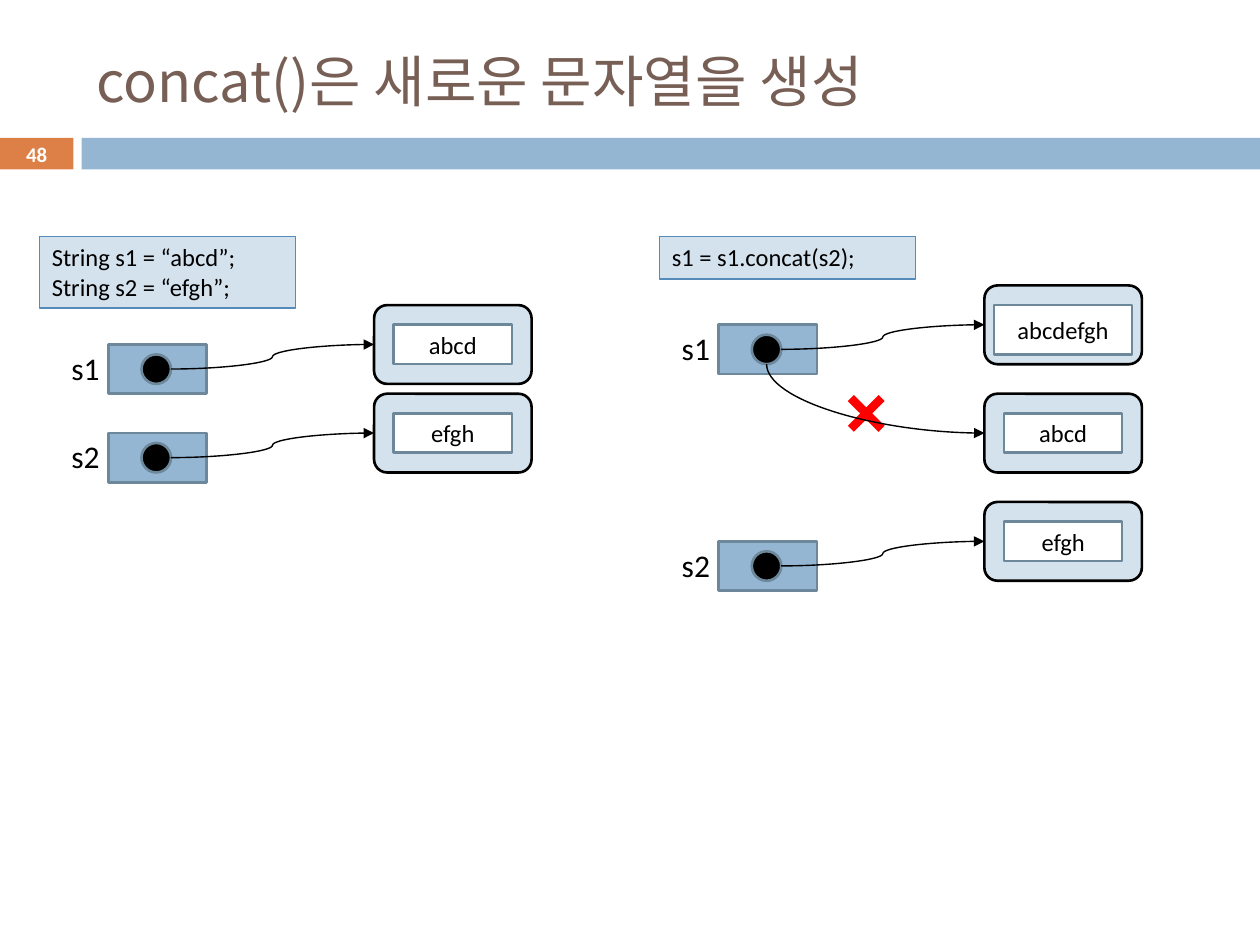
from lxml.etree import SubElement
from pptx import Presentation
from pptx.dml.color import RGBColor
from pptx.enum.shapes import MSO_CONNECTOR, MSO_SHAPE
from pptx.enum.text import MSO_ANCHOR, MSO_AUTO_SIZE, PP_ALIGN
from pptx.oxml.ns import qn
from pptx.util import Inches, Pt

COLS = 128  # square grid: 128 columns by 96 rows
BLACK = RGBColor(0, 0, 0)
WHITE = RGBColor(255, 255, 255)
RED = RGBColor(255, 0, 0)
ORANGE = RGBColor(0xDD, 0x80, 0x47)
BLUE = RGBColor(0x94, 0xB6, 0xD2)
PALE = RGBColor(0xD4, 0xE2, 0xED)
EDGE = RGBColor(0x6D, 0x87, 0x9B)
RIM = RGBColor(0x55, 0x8B, 0xB8)
BROWN = RGBColor(0x77, 0x5F, 0x55)


class Deck:
    font = "Calibri"
    title_font = "Noto Sans CJK KR"

    def __init__(self):
        self.prs = Presentation()
        self.prs.slide_width, self.prs.slide_height = Inches(10), Inches(7.5)
        self.unit = self.prs.slide_width / COLS
        self.slide = self.prs.slides.add_slide(self.prs.slide_layouts[5])

    def grid(self, *cells):
        return [round(cell * self.unit) for cell in cells]

    def put_text(self, shape, lines, size, color=BLACK, align=PP_ALIGN.LEFT,
                 anchor=MSO_ANCHOR.TOP, bold=False, font=None):
        frame = shape.text_frame
        frame.vertical_anchor = anchor
        for i, line in enumerate(lines):
            para = frame.add_paragraph() if i else frame.paragraphs[0]
            para.alignment = align
            run = para.add_run()
            run.text = line
            run.font.name = font or self.font
            run.font.size, run.font.bold = Pt(size), bold
            run.font.color.rgb = color
        return frame

    def title(self, text):
        shape = self.slide.shapes.title
        shape.left, shape.top, shape.width, shape.height = self.grid(8.53, 3.2, 114.2, 9.9)
        frame = self.put_text(shape, [text], 32, BROWN, anchor=MSO_ANCHOR.MIDDLE,
                              font=self.title_font)
        frame.auto_size = MSO_AUTO_SIZE.NONE
        props = frame.paragraphs[0].runs[0].font._element
        SubElement(props, qn("a:ea"), typeface=self.title_font)

    def block(self, kind, cells, fill, line=None, width=1.5, home=None):
        shapes = (home or self.slide).shapes
        shape = shapes.add_shape(kind, *self.grid(*cells))
        shape.shadow.inherit = False
        shape.fill.solid()
        shape.fill.fore_color.rgb = fill
        if line is None:
            shape.line.fill.background()
        else:
            shape.line.color.rgb = line
            shape.line.width = Pt(width)
        return shape

    def code(self, cells, *lines):
        shape = self.block(MSO_SHAPE.RECTANGLE, cells, PALE, RIM, 0.75)
        self.put_text(shape, lines, 14).auto_size = MSO_AUTO_SIZE.SHAPE_TO_FIT_TEXT

    def label(self, x, y, text):
        box = self.slide.shapes.add_textbox(*self.grid(x, y, 5.4, 5.1))
        frame = self.put_text(box, [text], 18)
        frame.word_wrap = False
        frame.auto_size = MSO_AUTO_SIZE.SHAPE_TO_FIT_TEXT

    def value(self, x, y, text, wide=12, high=4):
        """Draw a string object: a rounded frame around its characters."""
        self.block(MSO_SHAPE.ROUNDED_RECTANGLE, (x, y, 16, 8), PALE, BLACK)
        cell = self.block(MSO_SHAPE.RECTANGLE,
                          (x + (16 - wide) / 2, y + 2, wide, high), WHITE, EDGE)
        self.put_text(cell, [text], 14, align=PP_ALIGN.CENTER,
                      anchor=MSO_ANCHOR.MIDDLE).word_wrap = True

    def arrow(self, x1, y1, x2, y2):
        link = self.slide.shapes.add_connector(MSO_CONNECTOR.CURVE,
                                               *self.grid(x1, y1, x2, y2))
        link.line.color.rgb = BLACK
        link.line.width = Pt(0.79)
        props = link._element.spPr
        SubElement(props.find(qn("a:ln")), qn("a:tailEnd"), type="triangle")
        SubElement(props, qn("a:effectLst"))
        return link

    def bend(self, x1, y1, x2, y2):
        """Draw an arrow that leaves downward and arrives rightward."""
        midx, midy = (x1 + x2) / 2, (y1 + y2) / 2
        halfw, halfh = (y2 - y1) / 2, (x2 - x1) / 2  # sides swap when turned
        link = self.arrow(midx + halfw, midy - halfh, midx - halfw, midy + halfh)
        props = link._element.spPr
        props.find(qn("a:xfrm")).set("rot", str(270 * 60000))
        props.find(qn("a:prstGeom")).set("prst", "curvedConnector2")

    def variable(self, x, y, name, text, **size):
        """Draw a named reference box pointing at its string object."""
        self.label(x - 5, y - 0.2, name)
        self.value(x + 27, y - 4, text, **size)
        group = self.slide.shapes.add_group_shape()
        self.block(MSO_SHAPE.RECTANGLE, (x, y, 10, 5), BLUE, EDGE, home=group)
        self.block(MSO_SHAPE.FLOWCHART_CONNECTOR, (x + 3.37, y + 1, 3, 3),
                   BLACK, EDGE, home=group)
        self.arrow(x + 6.37, y + 2.5, x + 27, y)

    def banner(self, number):
        self.block(MSO_SHAPE.RECTANGLE, (0, 14, 7.47, 3.2), ORANGE)
        self.block(MSO_SHAPE.RECTANGLE, (8.3, 14, COLS - 8.3, 3.2), BLUE)
        box = self.slide.shapes.add_textbox(*self.grid(0, 14, 7.47, 3.4))
        self.put_text(box, [number], 11.9, WHITE, PP_ALIGN.CENTER,
                      MSO_ANCHOR.MIDDLE, True).word_wrap = True


def main():
    deck = Deck()
    deck.banner("48")
    deck.title("concat()은 새로운 문자열을 생성")

    deck.code((4, 24, 26, 7.3), "String s1 = “abcd”;", "String s2 = “efgh”;")
    deck.variable(11, 35, "s1", "abcd")
    deck.variable(11, 44, "s2", "efgh")

    deck.code((67, 24, 26, 4.35), "s1 = s1.concat(s2);")
    deck.variable(73, 33, "s1", "abcdefgh", wide=14, high=5)
    deck.variable(73, 55, "s2", "efgh")

    cross = deck.block(MSO_SHAPE.MATH_MULTIPLY, (85, 39, 6, 6), RED)
    cross.adjustments[0] = 0.145
    deck.value(100, 40, "abcd")
    deck.bend(77.87, 37, 100, 44)
    deck.prs.save("out.pptx")


if __name__ == "__main__":
    main()
